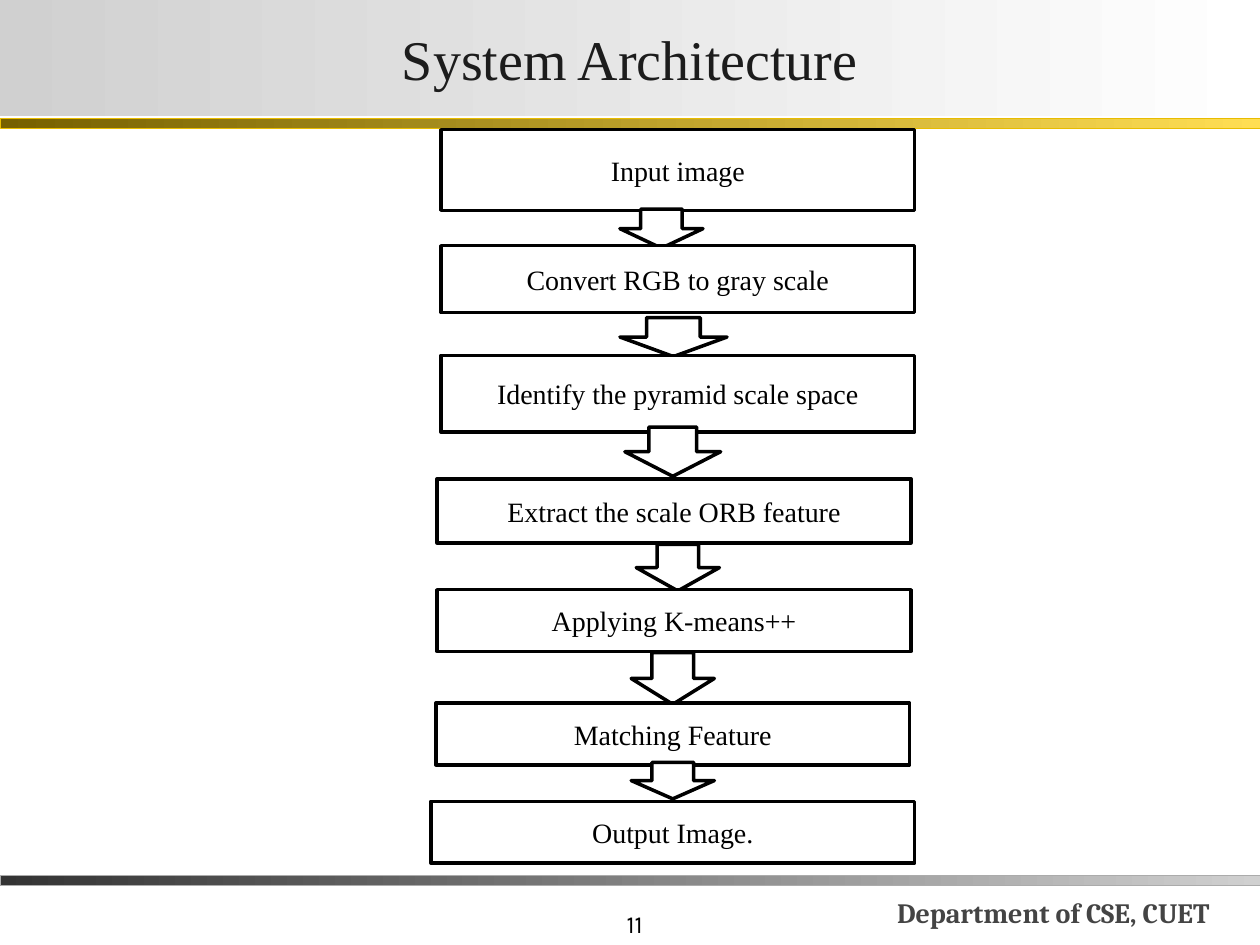
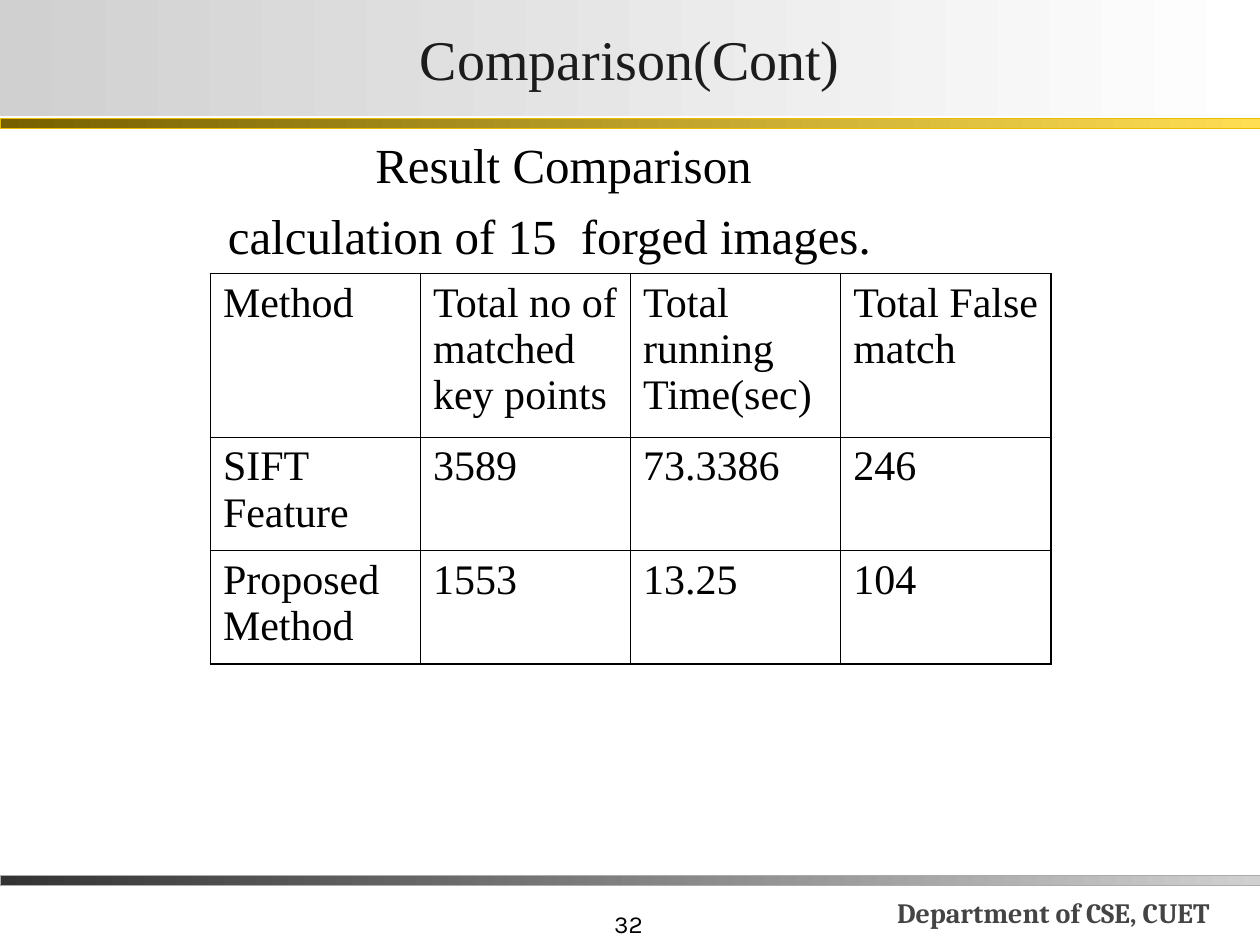
from lxml.etree import SubElement
from pptx import Presentation
from pptx.dml.color import RGBColor
from pptx.enum.shapes import MSO_SHAPE as SHAPE
from pptx.enum.text import MSO_ANCHOR as ANCHOR, MSO_AUTO_SIZE as AUTO, PP_ALIGN as ALIGN
from pptx.oxml.ns import qn
from pptx.util import Inches, Pt

SERIF = "Times New Roman"
BLACK, WHITE = "000000", "FFFFFF"
TITLE = dict(name=SERIF, size=32, color="1C1C1C")
BODY = dict(name=SERIF, size=28, color=BLACK)
STEP = dict(name=SERIF, size=16, color=BLACK)
CELL = dict(name=SERIF, size=24, color=BLACK, bold=False)
NUMBER = dict(name="Karla", size=14, color=BLACK)
FOOTER = dict(name="Cambria", size=16, color="444444", bold=True)

# top, height, gradient start, gradient end, outline
BANDS = [(6.95, 0.08, "333333", "D0D0D0", "ABABAB"),
         (0.94, 0.08, "766000", "FFDE53", "E8BC00")]

# text, box, arrow to the next step
STEPS = [
    ("Input image", (3.5, 1.03, 3.76, 0.64), (4.92, 1.66, 0.66, 0.31)),
    ("Convert RGB to gray scale", (3.5, 1.95, 3.76, 0.53), (4.92, 2.52, 0.85, 0.31)),
    ("Identify the pyramid scale space", (3.5, 2.82, 3.76, 0.61), (4.96, 3.39, 0.76, 0.39)),
    ("Extract the scale ORB feature", (3.47, 3.8, 3.76, 0.51), (5.05, 4.32, 0.66, 0.37)),
    ("Applying K-means++", (3.47, 4.68, 3.76, 0.49), (5.01, 5.18, 0.66, 0.41)),
    ("Matching Feature", (3.46, 5.58, 3.76, 0.49), (5.01, 6.05, 0.66, 0.29)),
    ("Output Image.", (3.42, 6.36, 3.84, 0.49), None),
]

RESULTS = [
    ["Method", "Total no of matched key points", "Total running Time(sec)", "Total False match"],
    ["SIFT Feature", "3589", "73.3386", "246"],
    ["Proposed Method", "1553", "13.25", "104"],
]


def rgb(value):
    return RGBColor.from_string(value)


def inches(*values):
    return [Inches(v) for v in values]


def shade(shape, start, end):
    """Fill a shape with a left-to-right gradient."""
    shape.fill.gradient()
    shape.fill.gradient_angle = 0
    for stop, color in zip(shape.fill.gradient_stops, (start, end)):
        stop.color.rgb = rgb(color)


def border(cell, color, width):
    tc_pr = cell._tc.get_or_add_tcPr()
    for i, side in enumerate(("lnL", "lnR", "lnT", "lnB")):
        ln = tc_pr.makeelement(qn(f"a:{side}"), {"w": str(Pt(width))})
        fill = SubElement(ln, qn("a:solidFill"))
        SubElement(fill, qn("a:srgbClr"), val=color)
        tc_pr.insert(i, ln)


class Deck:
    def __init__(self):
        self.prs = Presentation()
        self.prs.slide_width, self.prs.slide_height = inches(10, 7.5)
        self.s = None

    def slide(self, title, number):
        """Start a slide with its title, bands, number and footer."""
        self.s = self.prs.slides.add_slide(self.prs.slide_layouts[5])
        for top, height, start, end, line in BANDS:
            sp = self.shape(SHAPE.RECTANGLE, (0, top, 10, height), line, 0.25)
            shade(sp, start, end)
        self.text([number], (3.12, 7, 2.08, 0.5), NUMBER, ALIGN.RIGHT, ANCHOR.BOTTOM)
        self.text(["Department of CSE, CUET"], (6.64, 6.8, 3.44, 0.62), FOOTER,
                  ALIGN.CENTER, ANCHOR.BOTTOM)
        sp = self.s.shapes.title
        sp.left, sp.top, sp.width, sp.height = inches(0, 0, 10, 0.92)
        shade(sp, "D0D0D0", WHITE)
        tf = sp.text_frame
        tf.auto_size = AUTO.NONE
        tf.margin_left, tf.margin_top, tf.margin_right, tf.margin_bottom = inches(
            0.02, 0.01, 0.02, 0.01)
        self.fill_text(tf, [title], TITLE, ALIGN.CENTER, ANCHOR.MIDDLE)

    def fill_text(self, tf, lines, style, align=ALIGN.LEFT, anchor=ANCHOR.TOP):
        tf.word_wrap = True
        tf.vertical_anchor = anchor
        for i, line in enumerate(lines):
            p = tf.add_paragraph() if i else tf.paragraphs[0]
            p.alignment = align
            r = p.add_run()
            r.text = line
            for key, value in style.items():
                if key == "color":
                    r.font.color.rgb = rgb(value)
                else:
                    setattr(r.font, key, Pt(value) if key == "size" else value)

    def text(self, lines, box, style, align=ALIGN.LEFT, anchor=ANCHOR.TOP):
        tf = self.s.shapes.add_textbox(*inches(*box)).text_frame
        self.fill_text(tf, lines, style, align, anchor)
        return tf

    def shape(self, kind, box, line=BLACK, width=2):
        sp = self.s.shapes.add_shape(kind, *inches(*box))
        sp.shadow.inherit = False
        sp.fill.solid()
        sp.fill.fore_color.rgb = rgb(WHITE)
        sp.line.color.rgb = rgb(line)
        sp.line.width = Pt(width)
        return sp

    def step(self, text, box, arrow):
        sp = self.shape(SHAPE.RECTANGLE, box)
        self.fill_text(sp.text_frame, [text], STEP, ALIGN.CENTER, ANCHOR.MIDDLE)
        if arrow:
            self.shape(SHAPE.DOWN_ARROW, arrow)

    def table(self, rows, box, heights):
        frame = self.s.shapes.add_table(len(rows), len(rows[0]), *inches(*box))
        table = frame.table
        table.first_row = table.horz_banding = False
        for row, height, values in zip(table.rows, heights, rows):
            row.height = Inches(height)
            for cell, value in zip(row.cells, values):
                cell.fill.solid()
                cell.fill.fore_color.rgb = rgb(WHITE)
                border(cell, BLACK, 1)
                self.fill_text(cell.text_frame, [value], CELL)


def main():
    deck = Deck()

    deck.slide("System Architecture", "11")
    for step in STEPS:
        deck.step(*step)

    deck.slide("Comparison(Cont)", "32")
    tf = deck.text(["Result Comparison", "calculation of 15  forged images."],
                   (0.16, 1.02, 9.45, 5.73), BODY)
    for p, indent in zip(tf.paragraphs, (2.72, 1.55)):
        p._p.get_or_add_pPr().set("marL", str(Inches(indent)))
    tf.paragraphs[1].space_before = Pt(7)
    deck.table(RESULTS, (1.67, 2.17, 6.67, 2.89), (1.21, 0.84, 0.84))

    deck.prs.save("out.pptx")


if __name__ == "__main__":
    main()
